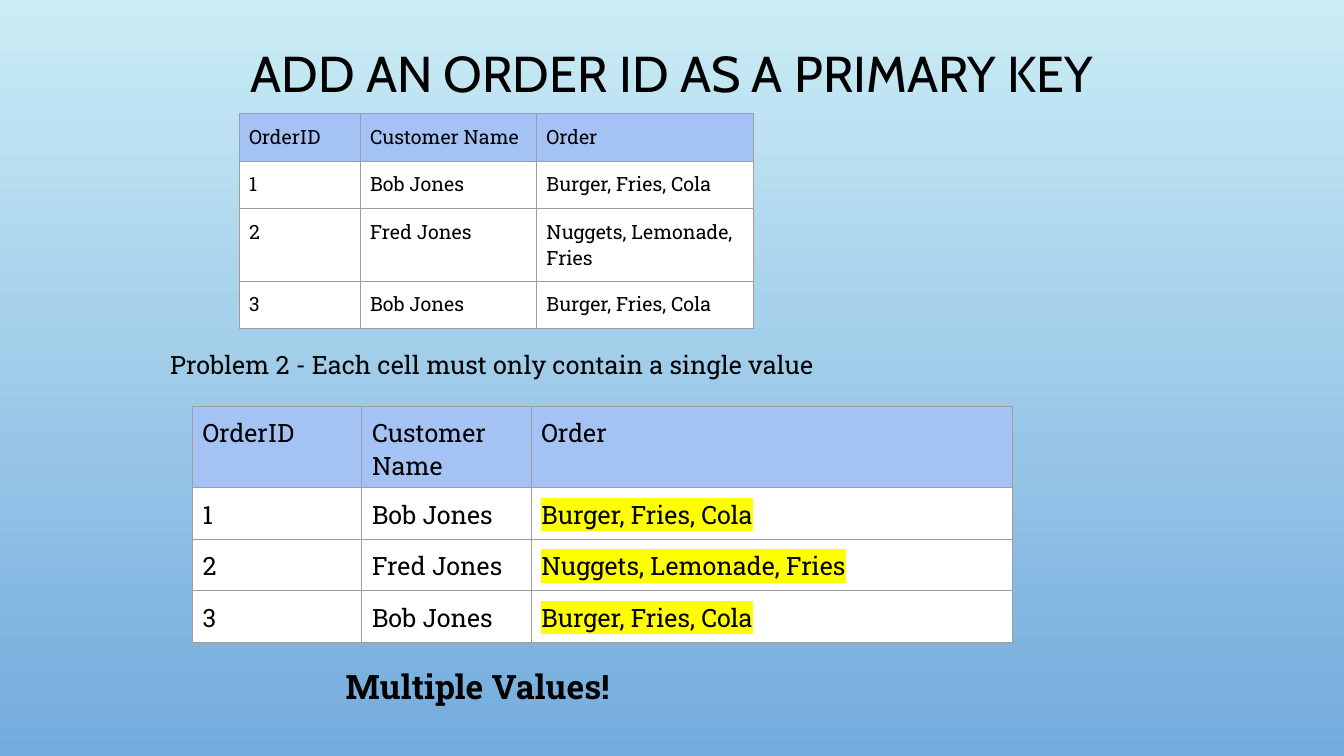
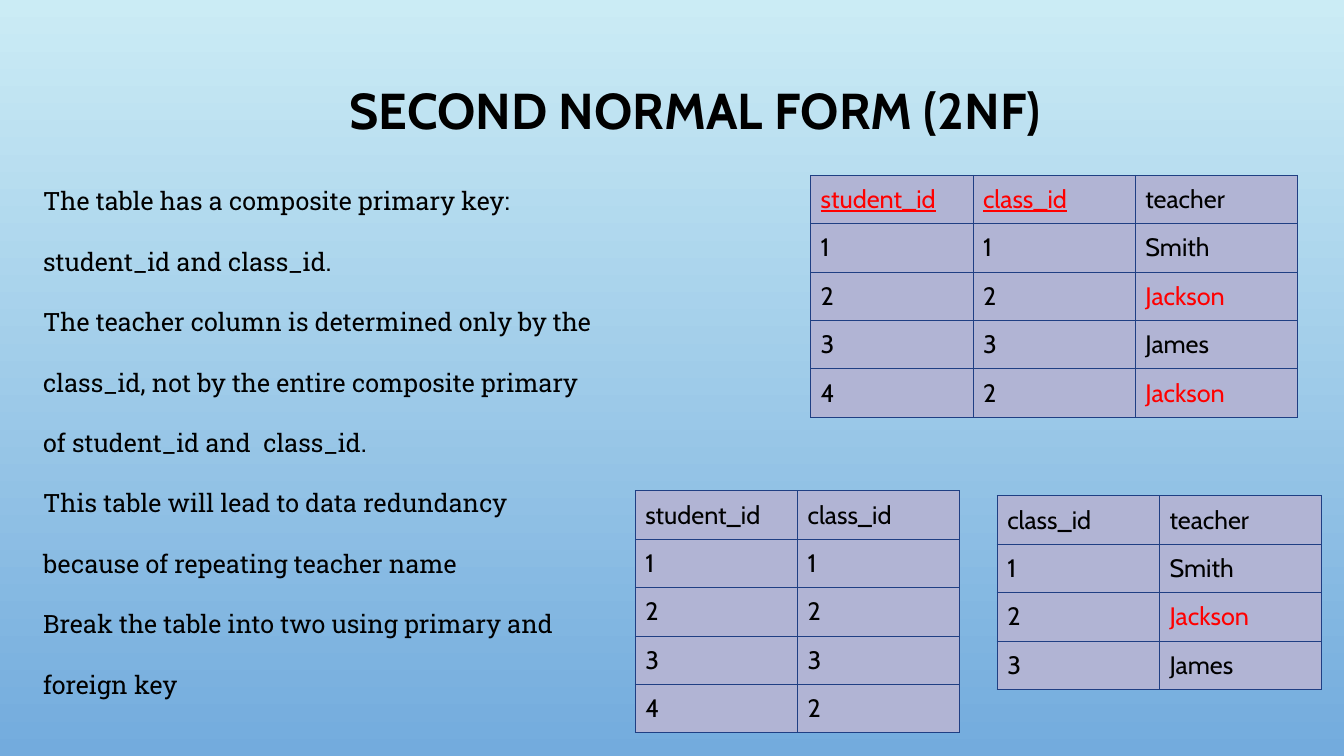
"""Build two slides on primary keys and second normal form."""
import lxml.etree
import pptx
import pptx.dml.color
import pptx.enum.text
import pptx.oxml.ns
import pptx.util

Inches = pptx.util.Inches
Pt = pptx.util.Pt
qn = pptx.oxml.ns.qn
rgb = pptx.dml.color.RGBColor.from_string
ALIGN = pptx.enum.text.PP_ALIGN
ANCHOR = pptx.enum.text.MSO_ANCHOR

HEADING_FONT, BODY_FONT = "Cabin", "Roboto Slab"
BLACK, WHITE, RED, YELLOW = "000000", "FFFFFF", "FF0000", "FFFF00"
SKY_TOP, SKY_BOTTOM = "CBECF5", "73ABDD"
ORDER_HEADER, ORDER_BORDER = "A4C2F4", "9E9E9E"
CLASS_FILL, CLASS_BORDER = "B1B4D4", "1F3F83"


def add_text(slide, box, text, size=18, font=BODY_FONT, bold=False,
             align=ALIGN.LEFT, anchor=ANCHOR.TOP, spacing=1.0):
    frame = slide.shapes.add_textbox(*map(Inches, box)).text_frame
    frame.word_wrap = True
    frame.vertical_anchor = anchor
    frame.text = text
    for paragraph in frame.paragraphs:
        paragraph.alignment = align
        paragraph.line_spacing = spacing
        for run in paragraph.runs:
            run.font.name = font
            run.font.size = Pt(size)
            run.font.bold = bold
            run.font.color.rgb = rgb(BLACK)


def add_grid(slide, left, top, widths, heights, rows, size, font, fills, border, inset, anchor):
    table = slide.shapes.add_table(
        len(rows), len(widths), Inches(left), Inches(top),
        Inches(sum(widths)), Inches(sum(heights))).table
    table.first_row = table.horz_banding = False
    for column, width in zip(table.columns, widths):
        column.width = Inches(width)
    for row_number, (row, height, values) in enumerate(zip(table.rows, heights, rows)):
        row.height = Inches(height)
        for cell, value in zip(row.cells, values):
            cell.text = value
            cell.vertical_anchor = anchor
            cell.margin_left = cell.margin_right = Inches(0.1)
            cell.margin_top = cell.margin_bottom = Inches(inset)
            properties = cell._tc.get_or_add_tcPr()
            for side in ("a:lnL", "a:lnR", "a:lnT", "a:lnB"):
                line = lxml.etree.SubElement(properties, qn(side), w=str(Pt(0.75)))
                paint = lxml.etree.SubElement(line, qn("a:solidFill"))
                lxml.etree.SubElement(paint, qn("a:srgbClr"), val=border)
            cell.fill.solid()
            cell.fill.fore_color.rgb = rgb(fills[min(row_number, 1)])
            text_font = cell.text_frame.paragraphs[0].runs[0].font
            text_font.name = font
            text_font.size = Pt(size)
            text_font.color.rgb = rgb(RED if value == "Jackson" else BLACK)
    return table


prs = pptx.Presentation()
prs.slide_width, prs.slide_height = Inches(13.33), Inches(7.5)
sky = prs.slide_master.background.fill
sky.gradient()
sky.gradient_angle = 270
for stop, color in zip(sky.gradient_stops, (SKY_TOP, SKY_BOTTOM)):
    stop.color.rgb = rgb(color)
blank = prs.slide_layouts[6]
title_style = dict(size=36, font=HEADING_FONT, align=ALIGN.CENTER, spacing=0.9)
order_style = dict(font=BODY_FONT, fills=(ORDER_HEADER, WHITE), border=ORDER_BORDER,
                   inset=0.1, anchor=ANCHOR.TOP)
class_style = dict(size=18, font=HEADING_FONT, fills=(CLASS_FILL, CLASS_FILL),
                   border=CLASS_BORDER, inset=0.05, anchor=ANCHOR.MIDDLE)

orders = [
    ("OrderID", "Customer Name", "Order"),
    ("1", "Bob Jones", "Burger, Fries, Cola"),
    ("2", "Fred Jones", "Nuggets, Lemonade, Fries"),
    ("3", "Bob Jones", "Burger, Fries, Cola"),
]
key_slide = prs.slides.add_slide(blank)
add_text(key_slide, (1, 0.44, 11.33, 0.89), "ADD AN ORDER ID AS A PRIMARY KEY", **title_style)
add_grid(key_slide, 2.37, 1.13, (1.2, 1.75, 2.15), (0.47, 0.47, 0.72, 0.47),
         orders, size=14, **order_style)
add_text(key_slide, (1.59, 3.42, 7.47, 0.4),
         "Problem 2 - Each cell must only contain a single value")
add_text(key_slide, (3.33, 6.56, 4.42, 0.5), "Multiple Values!", size=24, bold=True)
problem_orders = add_grid(key_slide, 1.91, 4.03, (1.68, 1.68, 4.77), (0.81, 0.51, 0.51, 0.51),
                          orders, size=18, **order_style)
for row_number in range(1, len(orders)):
    multiple = problem_orders.cell(row_number, 2).text_frame.paragraphs[0].runs[0]
    latin = multiple._r.find(qn("a:rPr")).find(qn("a:latin"))
    highlight = lxml.etree.Element(qn("a:highlight"))
    lxml.etree.SubElement(highlight, qn("a:srgbClr"), val=YELLOW)
    latin.addprevious(highlight)

enrolments = [
    ("student_id", "class_id", "teacher"),
    ("1", "1", "Smith"),
    ("2", "2", "Jackson"),
    ("3", "3", "James"),
    ("4", "2", "Jackson"),
]
student_classes = [row[:2] for row in enrolments]
class_teachers = [row[1:] for row in enrolments[:4]]

form_slide = prs.slides.add_slide(blank)
add_text(form_slide, (0.79, 0.07, 12.21, 2.11), "SECOND NORMAL FORM (2NF)",
         bold=True, anchor=ANCHOR.MIDDLE, **title_style)
add_text(form_slide, (0.33, 1.49, 5.71, 5.46),
         "The table has a composite primary key: student_id and class_id.\v"
         "The teacher column is determined only by the class_id, not by the entire "
         "composite primary of student_id and  class_id.\n"
         "This table will lead to data redundancy because of repeating teacher name\n"
         "Break the table into two using primary and foreign key", spacing=2.0)
class_tables = [
    add_grid(form_slide, left, top, [1.61] * len(rows[0]), [0.48] * len(rows), rows, **class_style)
    for left, top, rows in ((8.04, 1.74, enrolments), (9.89, 4.92, class_teachers),
                            (6.3, 4.87, student_classes))
]
for key_column in range(2):
    key_font = class_tables[0].cell(0, key_column).text_frame.paragraphs[0].runs[0].font
    key_font.color.rgb = rgb(RED)
    key_font.underline = True

prs.save("out.pptx")
